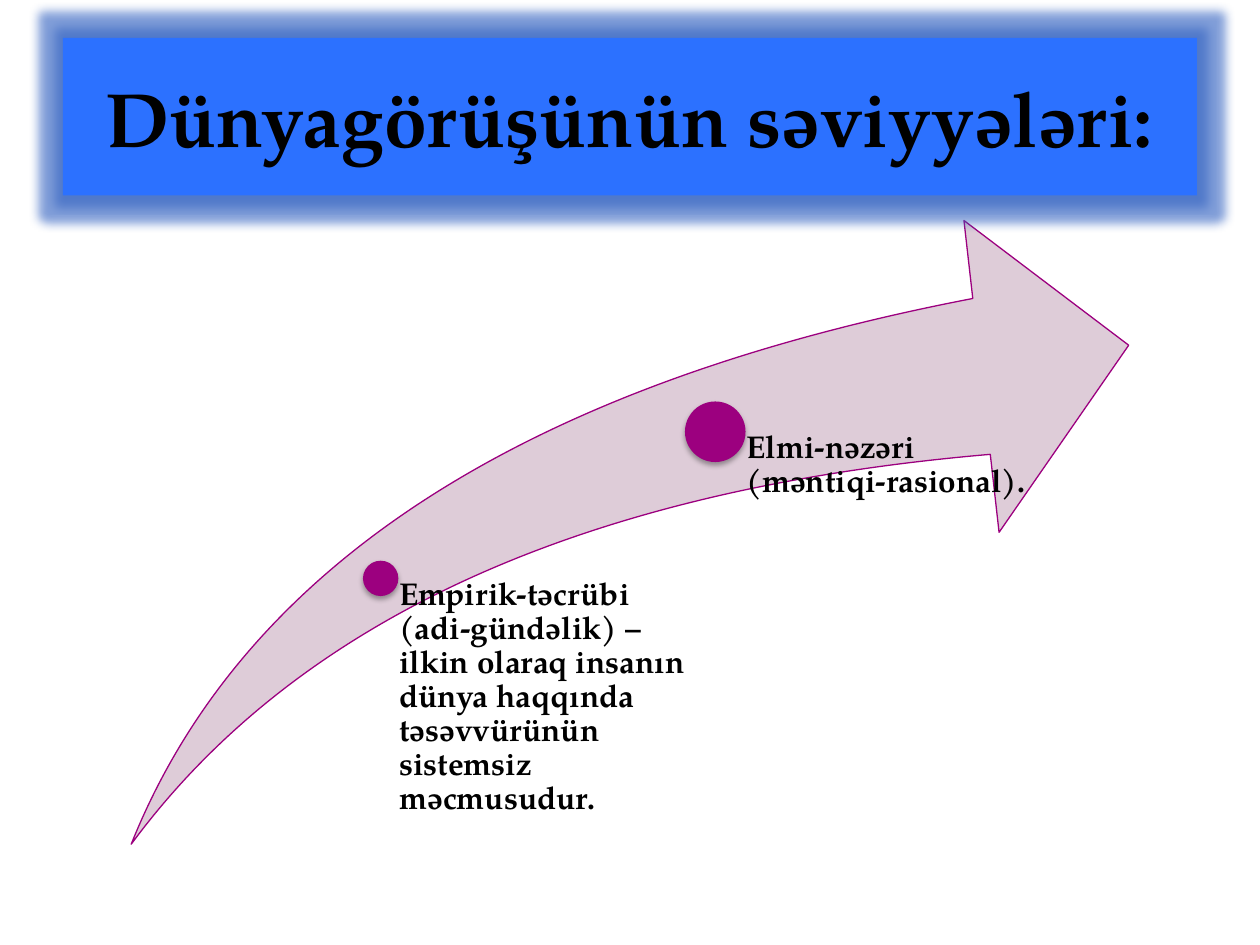
from lxml.etree import SubElement
from pptx import Presentation
from pptx.dml.color import RGBColor
from pptx.enum.shapes import MSO_SHAPE as SHAPE
from pptx.enum.text import MSO_ANCHOR as ANCHOR, PP_ALIGN as ALIGN
from pptx.oxml.ns import qn
from pptx.util import Pt

BLUE = RGBColor(0x2C, 0x71, 0xFF)
GLOW = RGBColor(0x30, 0x60, 0xC0)
PURPLE = RGBColor(0x9C, 0x00, 0x7F)
MAUVE = RGBColor(0xDE, 0xCC, 0xD8)
BLACK = RGBColor(0, 0, 0)
FONT = "TeX Gyre Pagella"

LEVELS = [
    ((207.4, 320.4, 20.2), (217.5, 330.5, 185, 152), 10.7,
     "Empirik-təcrübi (adi-gündəlik) – ilkin olaraq insanın dünya "
     "haqqında təsəvvürünün sistemsiz məcmusudur."),
    ((391.4, 229.4, 34.6), (408.5, 246.5, 185, 236), 18.2,
     "Elmi-nəzəri (məntiqi-rasional)."),
]


def set_attrs(obj, values):
    """Set each attribute of an object from a dict."""
    for name, value in values.items():
        setattr(obj, name, value)


def add_shape(slide, kind, box, fill, line=None):
    """Add a flat filled shape with an optional thin outline."""
    sp = slide.shapes.add_shape(kind, *map(Pt, box))
    sp.shadow.inherit = False
    sp.fill.solid()
    sp.fill.fore_color.rgb = fill
    if line is None:
        sp.line.fill.background()
    else:
        sp.line.color.rgb = line
        sp.line.width = Pt(0.75)
    return sp


def add_effect(sp, tag, color, alpha, **attrs):
    """Add a glow or shadow with a translucent colour."""
    effects = sp._element.spPr.find(qn("a:effectLst"))
    effect = SubElement(effects, qn(tag), {k: str(v) for k, v in attrs.items()})
    clr = SubElement(effect, qn("a:srgbClr"), val=str(color))
    SubElement(clr, qn("a:alpha"), val=str(alpha * 1000))


def write(sp, text, size, frame, para):
    """Write one bold paragraph into a shape."""
    tf = sp.text_frame
    set_attrs(tf, {"word_wrap": True, **frame})
    p = tf.paragraphs[0]
    set_attrs(p, para)
    r = p.add_run()
    r.text = text
    set_attrs(r.font, {"name": FONT, "size": Pt(size), "bold": True})
    r.font.color.rgb = BLACK


def add_title(slide, text):
    """Add the glowing title banner."""
    sp = add_shape(slide, SHAPE.RECTANGLE, (36, 21.6, 648, 90), BLUE)
    add_effect(sp, "a:glow", GLOW, 60, rad=Pt(11))
    write(sp, text, 44, {"vertical_anchor": ANCHOR.MIDDLE},
          {"alignment": ALIGN.CENTER})


def add_arrow(slide):
    """Add the rising swoosh arrow."""
    sp = add_shape(slide, SHAPE.SWOOSH_ARROW, (75, 126, 570, 356.4), MAUVE, PURPLE)
    for i in range(2):
        sp.adjustments[i] = 0.25


def add_level(slide, dot, box, inset, text):
    """Add a dot on the arrow with its label."""
    left, top, size = dot
    sp = add_shape(slide, SHAPE.OVAL, (left, top, size, size), PURPLE)
    add_effect(sp, "a:outerShdw", BLACK, 35, blurRad=Pt(3.1), dist=Pt(1.8),
               dir=90 * 60000, rotWithShape=0)
    label = slide.shapes.add_textbox(*map(Pt, box))
    write(label, text, 18,
          {"margin_left": Pt(inset), "margin_top": 0, "margin_right": 0,
           "margin_bottom": 0},
          {"line_spacing": 0.9, "space_after": Pt(6.3), "alignment": ALIGN.LEFT})


def main():
    """Build and save the slide."""
    prs = Presentation()
    set_attrs(prs, {"slide_width": Pt(720), "slide_height": Pt(540)})
    slide = prs.slides.add_slide(prs.slide_layouts[6])
    add_arrow(slide)
    for level in LEVELS:
        add_level(slide, *level)
    add_title(slide, "Dünyagörüşünün səviyyələri:")
    prs.save("out.pptx")


if __name__ == "__main__":
    main()
